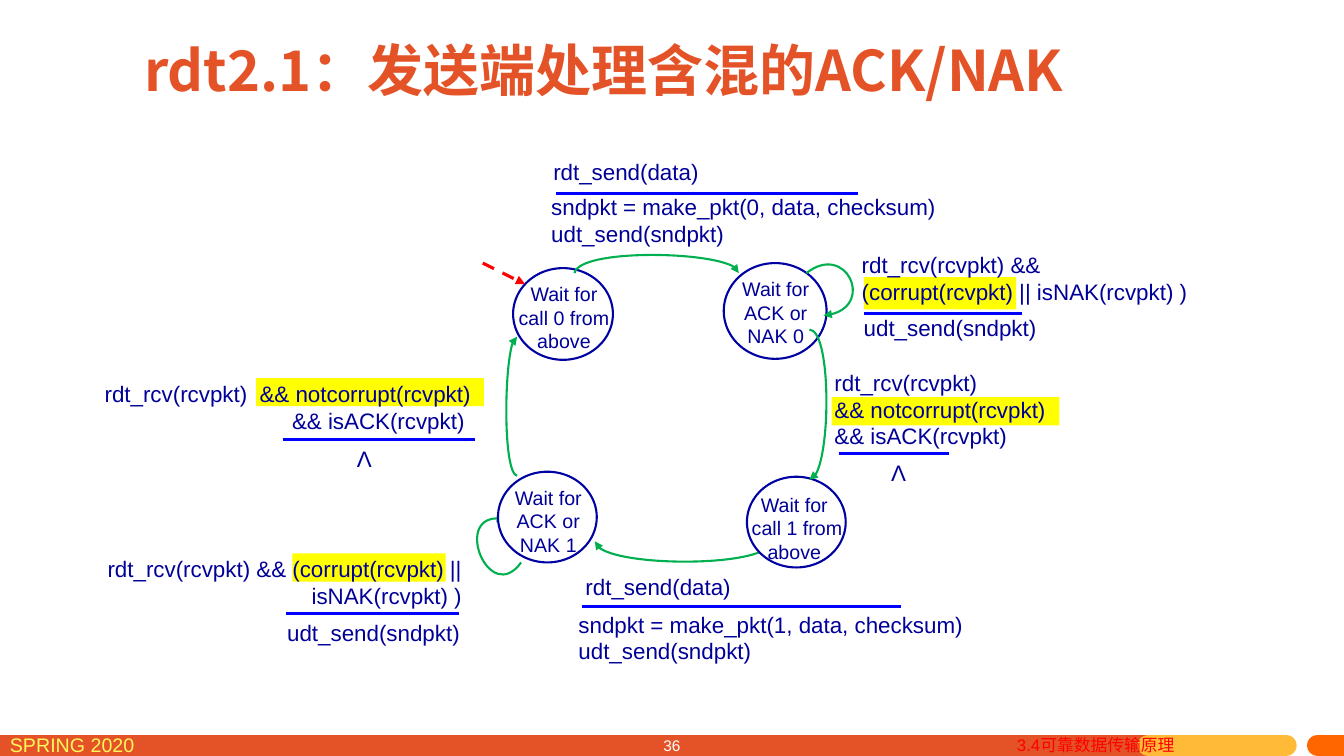
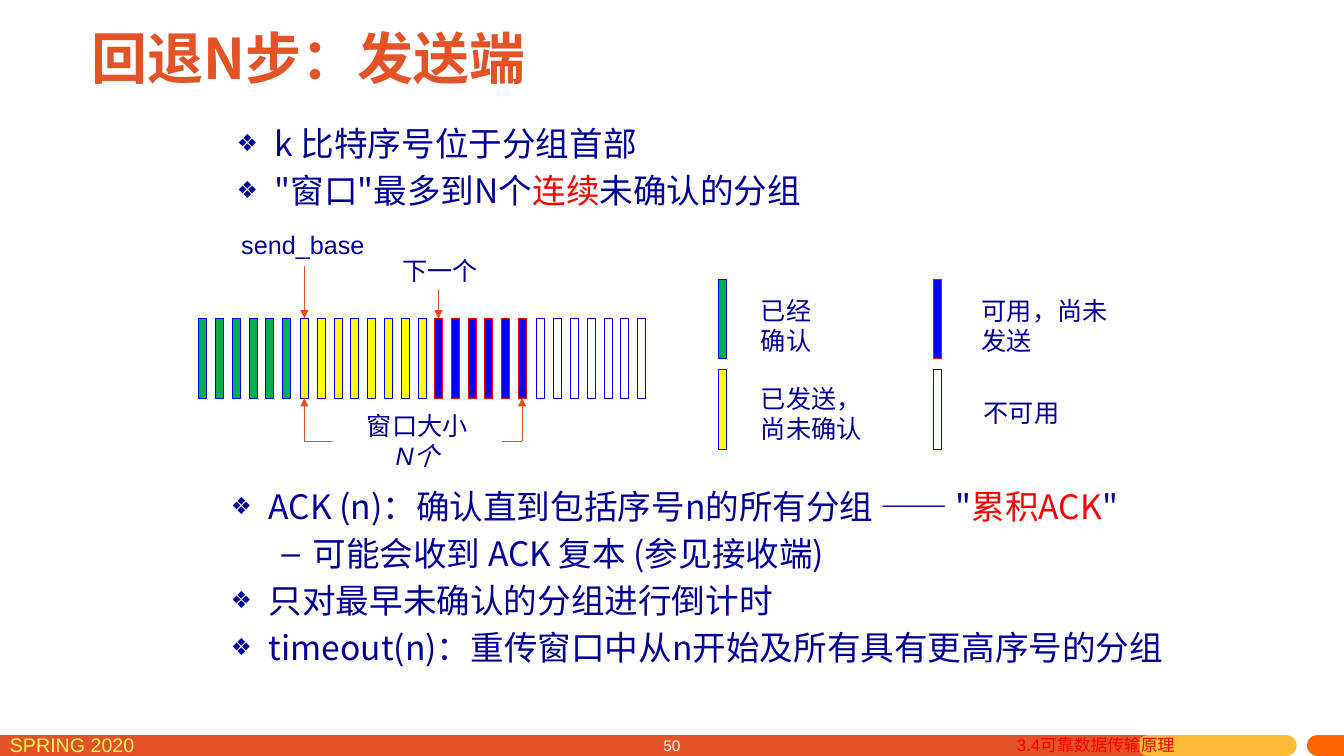
"""Build two lecture slides on reliable data transfer."""
from math import cos, radians, sin

from lxml.etree import SubElement
from pptx import Presentation
from pptx.dml.color import RGBColor
from pptx.enum.dml import MSO_LINE
from pptx.enum.shapes import MSO_CONNECTOR, MSO_SHAPE
from pptx.enum.text import MSO_ANCHOR, MSO_AUTO_SIZE, PP_ALIGN
from pptx.oxml.ns import qn
from pptx.util import Inches, Pt

NAVY = RGBColor(0x00, 0x00, 0x99)
OUTLINE = RGBColor(0x00, 0x00, 0xA3)
BLUE = RGBColor(0x00, 0x00, 0xFF)
GREEN = RGBColor(0x00, 0xB0, 0x50)
YELLOW = RGBColor(0xFF, 0xFF, 0x00)
RED = RGBColor(0xFF, 0x00, 0x00)
WHITE = RGBColor(0xFF, 0xFF, 0xFF)
BRICK = RGBColor(0xE4, 0x53, 0x27)
POINTER = RGBColor(0xE4, 0x4F, 0x22)
AMBER = RGBColor(0xFF, 0xBA, 0x37)
ORANGE = RGBColor(0xFF, 0x66, 0x00)
LEMON = RGBColor(0xFF, 0xF6, 0x5C)

LEFT, CENTER, RIGHT = PP_ALIGN.LEFT, PP_ALIGN.CENTER, PP_ALIGN.RIGHT
LATIN, HAN = "Arial", "Noto Sans CJK SC"
COLUMNS, ROWS = 133.33, 75
CELL = Inches(0.1)
BAR_WIDTH, BAR_HEIGHT, BAR_STEP = 0.8, 7.9, 1.67


def grid(*cells):
    return [round(cell * CELL) for cell in cells]


def turn(point, degrees):
    x, y = point
    angle = radians(degrees)
    return x * cos(angle) - y * sin(angle), x * sin(angle) + y * cos(angle)


class Deck:
    """Hold the shared style and the slide being drawn."""

    def __init__(self):
        self.show = Presentation()
        self.show.slide_width, self.show.slide_height = grid(COLUMNS, ROWS)
        self.slide = None

    def start(self, layout, title, place, number, align=LEFT):
        self.slide = self.show.slides.add_slide(self.show.slide_layouts[layout])
        heading = self.place(self.slide.shapes.title, place)
        heading.vertical_anchor = MSO_ANCHOR.MIDDLE
        heading.text = title
        heading.paragraphs[0].alignment = align
        self.style(heading.paragraphs[0].runs[0], 40, BRICK, HAN, bold=True)
        for begin, end, color in ((-1.8, 113.9, BRICK), (113.9, 127.6, AMBER),
                                  (130.7, 136, ORANGE)):
            band = self.line((begin, 73.94), (end, 73.94), color, 15)
            band.line._get_or_add_ln().set("cap", "rnd")
        self.label((0, 72.2, 22.9, 3.1), "SPRING 2020", 14, color=LEMON)
        self.label((42.6, 72.5, 25.9, 2.5), number, 11, RIGHT, WHITE)
        self.label((99.9, 72.4, 30.1, 3.1), "3.4可靠数据传输原理", 12, color=RED)

    def place(self, holder, place):
        holder.left, holder.top, holder.width, holder.height = grid(*place)
        frame = holder.text_frame
        frame.word_wrap = True
        frame.auto_size = MSO_AUTO_SIZE.NONE
        return frame

    def style(self, run, size, color, font, bold=False):
        run.font.size = Pt(size)
        run.font.bold = bold
        run.font.color.rgb = color
        run.font.name = font
        SubElement(run._r.get_or_add_rPr(), qn("a:ea"), typeface=HAN)

    def label(self, place, text, size=16, align=LEFT, color=NAVY, fill=None):
        box = self.slide.shapes.add_textbox(*grid(*place))
        frame = box.text_frame
        frame.word_wrap = True
        frame.text = text
        if fill is not None:
            box.fill.solid()
            box.fill.fore_color.rgb = fill
        for paragraph in frame.paragraphs:
            paragraph.alignment = align
            paragraph.line_spacing = Pt(1.2 * size)
            for run in paragraph.runs:
                self.style(run, size, color, LATIN)
        return frame

    def bullets(self, index, place, items):
        frame = self.place(self.slide.placeholders[index], place)
        frame.vertical_anchor = MSO_ANCHOR.TOP
        for position, (level, *parts) in enumerate(items):
            paragraph = frame.add_paragraph() if position else frame.paragraphs[0]
            paragraph.level = level
            paragraph.line_spacing = Pt(28.8)
            paragraph.space_before = Pt(4.8)
            margin, hanging, mark, share = (
                (8.1, 3.1, "–", 100) if level else (3.75, 3.75, "❖", 70))
            properties = paragraph._p.get_or_add_pPr()
            properties.set("marL", str(grid(margin)[0]))
            properties.set("indent", str(-grid(hanging)[0]))
            SubElement(properties, qn("a:buSzPct"), val=str(share * 1000))
            SubElement(properties, qn("a:buFont"), typeface=LATIN)
            SubElement(properties, qn("a:buChar"), char=mark)
            for order, part in enumerate(parts):
                run = paragraph.add_run()
                run.text = part
                self.style(run, 24, RED if order % 2 else NAVY, HAN)

    def block(self, place, fill, outline=None, width=0.75, kind=MSO_SHAPE.RECTANGLE):
        block = self.slide.shapes.add_shape(kind, *grid(*place))
        block.shadow.inherit = False
        block.fill.solid()
        block.fill.fore_color.rgb = fill
        if outline is None:
            block.line.fill.background()
        else:
            block.line.color.rgb = outline
            block.line.width = Pt(width)

    def state(self, place, text, text_place):
        self.block(place, WHITE, OUTLINE, 1.5, MSO_SHAPE.OVAL)
        self.label(text_place, text, 14, CENTER)

    def bar(self, left, top, colors):
        self.block((left, top, BAR_WIDTH, BAR_HEIGHT), *colors)

    def arrowhead(self, stroke, end="a:tailEnd"):
        SubElement(stroke.line._get_or_add_ln(), qn(end), type="triangle")

    def line(self, begin, end, color, width, arrow=False, dash=None):
        line = self.slide.shapes.add_connector(
            MSO_CONNECTOR.STRAIGHT, *grid(*begin, *end))
        line.line.color.rgb = color
        line.line.width = Pt(width)
        if dash:
            line.line.dash_style = dash
        if arrow:
            self.arrowhead(line)
        SubElement(line._element.spPr, qn("a:effectLst"))
        return line

    def curve(self, *controls, rotation=0, end="a:tailEnd"):
        level = [turn(point, -rotation) for point in controls]
        middle = [(min(axis) + max(axis)) / 2 for axis in zip(*level)]
        shift = [new - old for new, old in zip(turn(middle, rotation), middle)]
        points = [grid(x + shift[0], y + shift[1]) for x, y in level]
        builder = self.slide.shapes.build_freeform(*points[0])
        builder.add_line_segments(points[1:], close=False)
        curve = builder.convert_to_shape()
        outline = next(curve._element.iter(qn("a:pathLst")))[0]
        bend = SubElement(outline, qn("a:cubicBezTo"))
        for segment in outline.findall(qn("a:lnTo")):
            bend.append(segment[0])
            outline.remove(segment)
        curve.rotation = rotation
        curve.shadow.inherit = False
        curve.fill.background()
        curve.line.color.rgb = GREEN
        curve.line.width = Pt(1.5)
        self.arrowhead(curve, end)


def sender_states(deck):
    deck.start(5, "rdt2.1：发送端处理含混的ACK/NAK", (13.3, 1.5, 99, 10.7), "36")
    for highlight in ((29, 54.9, 15.2, 2.8), (25.4, 37.5, 22.6, 2.8),
                      (82.5, 39.4, 22.6, 2.8), (85.7, 27.5, 15.1, 3.2)):
        deck.block(highlight, YELLOW)

    deck.curve((59, 53.7), (59.3, 56.4), (76.5, 56.2), (76.5, 53.7), end="a:headEnd")
    deck.curve((51.7, 55.8), (48.6, 60.1), (44.6, 50.5), (50.1, 51.5), rotation=243.5)
    for place, text, text_place in (
            ((50.9, 26.6, 9.9, 9.1), "Wait for call 0 from above", (50, 27.5, 11.9, 6.7)),
            ((71.8, 26.1, 10.2, 9.5), "Wait for ACK or NAK 0", (71, 27, 11.9, 7.1)),
            ((74.1, 47.3, 9.8, 9), "Wait for\n call 1 from above", (72.7, 48.4, 12.2, 6.7)),
            ((49.4, 46.8, 9.8, 9), "Wait for ACK or NAK 1", (48.7, 47.7, 11.4, 6.7))):
        deck.state(place, text, text_place)
    deck.line((47.9, 26.1), (52.1, 28.2), RED, 2.25, True, MSO_LINE.DASH)
    deck.curve((57, 27.1), (57.4, 24.7), (73.3, 24.9), (73.3, 27.1))
    deck.curve((80, 27.1), (83.9, 24), (87.1, 30.8), (81.7, 31.3), rotation=337.4)
    deck.curve((80.3, 47.6), (82.5, 47.3), (82.4, 32.7), (80.3, 32.7),
               rotation=90, end="a:headEnd")
    deck.curve((51.3, 47.2), (49.9, 46.9), (50, 33.4), (51.3, 33.4), rotation=270)

    for left, right, row in ((55.2, 85.1, 19.2), (85.7, 101.4, 31.1), (57.7, 89.4, 60.2),
                             (28.4, 45.5, 60.9), (83.2, 94.1, 45), (28.1, 47.1, 43.6)):
        deck.line((left, row), (right, row), BLUE, 2.25)
    for place, text in (
            ((53.9, 15.2, 23.1, 3.3), "rdt_send(data)"),
            ((53.7, 18.7, 40.4, 4.4), "sndpkt = make_pkt(0, data, checksum)\nudt_send(sndpkt)"),
            ((84.5, 24.4, 34.8, 6.2), "rdt_rcv(rcvpkt) &&  (corrupt(rcvpkt) || isNAK(rcvpkt) )"),
            ((84.7, 30.7, 24.7, 4.4), "udt_send(sndpkt)"),
            ((81.8, 36.1, 32.8, 6.2),
             "rdt_rcv(rcvpkt)\n&& notcorrupt(rcvpkt)\n&& isACK(rcvpkt)"),
            ((57.1, 56.4, 26.1, 3.1), "rdt_send(data)"),
            ((56.4, 60.1, 41.2, 4.4), "sndpkt = make_pkt(1, data, checksum)\nudt_send(sndpkt)"),
            ((27.5, 60.9, 19.9, 3), "udt_send(sndpkt)")):
        deck.label(place, text)
    deck.label((8.1, 37.2, 39.6, 6.2),
               "rdt_rcv(rcvpkt)  && notcorrupt(rcvpkt) && isACK(rcvpkt) ", align=RIGHT)
    deck.label((4.4, 54.6, 42.4, 6.2),
               "rdt_rcv(rcvpkt) && (corrupt(rcvpkt) ||\nisNAK(rcvpkt) )", align=RIGHT)
    for left, top in ((87.4, 45.1), (34.4, 43.7)):
        deck.label((left, top, 3.5, 3.7), "Λ", align=CENTER)


def sender_window(deck):
    deck.start(3, "回退N步：发送端", (2.1, 0.5, 57, 10.4), "50", CENTER)
    deck.bullets(1, (22.5, 11.7, 103.2, 14), (
        (0, "k 比特序号位于分组首部"),
        (0, "\"窗口\"最多到N个", "连续", "未确认的分组")))
    deck.bullets(2, (21.9, 47.7, 99.9, 24.4), (
        (0, "ACK (n)：确认直到包括序号n的所有分组 —— \"", "累积ACK", "\""),
        (1, "可能会收到 ACK 复本 (参见接收端)"),
        (0, "只对最早未确认的分组进行倒计时"),
        (0, "timeout(n)：重传窗口中从n开始及所有具有更高序号的分组")))

    acked, sent, usable, blocked = (
        (GREEN, BLUE), (YELLOW, BLUE), (BLUE, RED), (WHITE, BLUE))
    for first, count, colors in ((19.7, 6, acked), (29.8, 8, sent),
                                 (43.1, 6, usable), (53.25, 7, blocked)):
        for index in range(count):
            deck.bar(first + BAR_STEP * index, 31.6, colors)
    for bar_left, bar_top, colors, place, meaning in (
            (71.3, 27.7, acked, (74.5, 28.8, 13.6, 7.1), "已经\n确认"),
            (71.3, 36.7, sent, (74.5, 37.5, 13.6, 7.1), "已发送，尚未确认"),
            (92.6, 27.7, usable, (96.4, 28.8, 15.1, 7.1), "可用，尚未发送"),
            (92.6, 36.7, blocked, (96.6, 38.9, 15.1, 4), "不可用")):
        deck.bar(bar_left, bar_top, colors)
        deck.label(place, meaning, 18)

    base, following, last = 30.2, 43.5, 51.8
    deck.line((base, 43.8), (last, 43.8), POINTER, 0.75)
    for column, begin, end in ((base, 43.8, 39.5), (last, 43.8, 39.5),
                               (base, 26.4, 31.6), (following, 26.4, 31.6)):
        deck.line((column, begin), (column, end), POINTER, 0.75, True)
    size = deck.label((33, 40.2, 16.8, 7.1), "窗口大小\nN个", 18, CENTER, fill=WHITE)
    size.paragraphs[1].runs[0].font.italic = True
    deck.label((35.5, 24.8, 16.3, 4), "下一个", 18, CENTER, fill=WHITE)
    deck.label((22.5, 22.3, 15.1, 4), "send_base", 18, CENTER)


def main():
    deck = Deck()
    sender_states(deck)
    sender_window(deck)
    deck.show.save("out.pptx")


if __name__ == "__main__":
    main()
